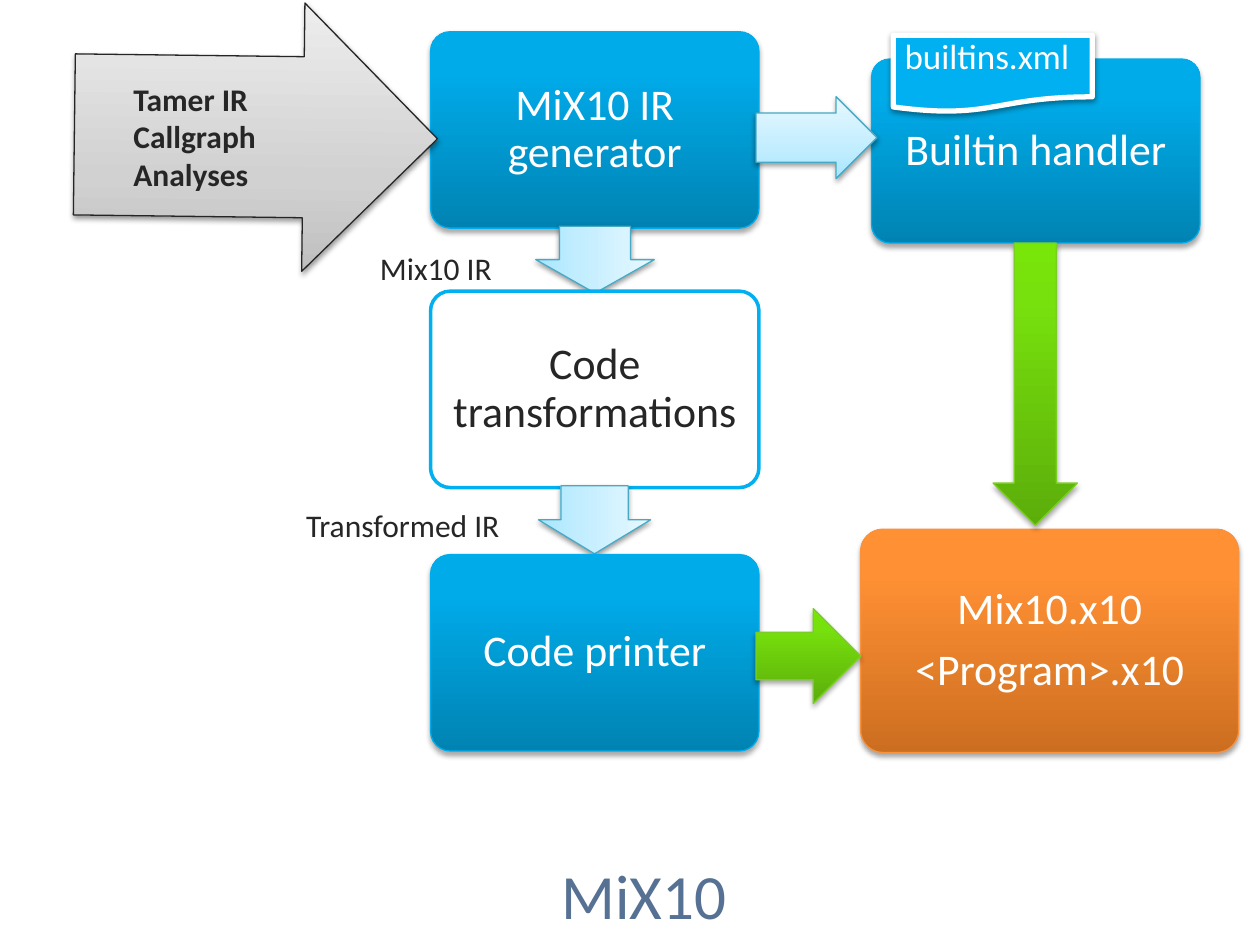
from dataclasses import dataclass
from typing import Optional

from lxml.etree import SubElement
from pptx import Presentation
from pptx.dml.color import RGBColor
from pptx.enum.shapes import MSO_SHAPE as Preset
from pptx.enum.text import MSO_ANCHOR as Anchor, MSO_AUTO_SIZE as AutoSize, PP_ALIGN as Align
from pptx.oxml.ns import qn
from pptx.util import Cm, Pt

FONT = "Calibri"
COLORS = {
    "white": "FFFFFF", "text": "262626", "title": "567193", "cyan": "00B0F0",
    "shadow": "000000", "blue line": "00ACEB", "pale line": "46AAC5",
    "gray line": "252525", "orange line": "F69240", "green line": "78CF22",
}
# Gradient stops in percent, running from bottom to top
GRADIENTS = {
    "blue": {0: "0083B3", 80: "00ABE9", 100: "00ABEA"},
    "orange": {0: "CC6E20", 80: "FF9034", 100: "FF9136"},
    "green": {0: "5CAD0A", 80: "77E10D", 100: "78E609"},
    "pale": {0: "A7E6FF", 35: "C1EDFF", 100: "E7F8FF"},
    "gray": {0: "BEBEBE", 35: "D1D1D1", 100: "EEEEEE"},
}


@dataclass(frozen=True)
class Style:
    fill: str
    line: str
    line_width: float = 0.75
    shadow: Optional[tuple[int, float]] = (35, 1.8)  # opacity in percent, distance in points


STYLES = {
    "blue": Style("blue", "blue line"),
    "orange": Style("orange", "orange line"),
    "green": Style("green", "green line"),
    "pale": Style("pale", "pale line", shadow=(38, 1.6)),
    "gray": Style("gray", "gray line", shadow=(38, 1.6)),
    "outlined": Style("white", "cyan", 2, None),
    "document": Style("cyan", "white", 3, (38, 1.6)),
}


@dataclass(frozen=True)
class Part:
    preset: Preset
    style: str
    at: tuple[float, float, float, float]  # left, top, width, height in cm
    adjustments: tuple[float, ...] = ()
    rotation: float = 0
    lines: tuple[str, ...] = ()
    text_color: str = "white"


@dataclass(frozen=True)
class Label:
    lines: tuple[str, ...]
    at: tuple[float, float, float, float]
    size: int = 18
    color: str = "text"
    bold: bool = False
    align: Align = Align.LEFT


BOX, ARROW = (0.1,), (0.6, 0.5)
STAGE_LEFT, STAGE_WIDTH, STAGE_HEIGHT = 8.68, 6.62, 3.96


def stage(top: float, text: str, style: str = "blue", text_color: str = "white") -> Part:
    return Part(Preset.ROUNDED_RECTANGLE, style, (STAGE_LEFT, top, STAGE_WIDTH, STAGE_HEIGHT),
                BOX, lines=(text,), text_color=text_color)


PARTS = [
    # Main column of stages
    stage(0.64, "MiX10 IR generator"),
    Part(Preset.RIGHT_ARROW, "pale", (11.32, 4.04, 1.35, 2.39), ARROW, 90),
    stage(5.87, "Code transformations", "outlined", "text"),
    Part(Preset.RIGHT_ARROW, "pale", (11.3, 9.35, 1.37, 2.26), ARROW, 90),
    stage(11.18, "Code printer"),
    # Input, builtin handler and output
    Part(Preset.RIGHT_ARROW, "gray", (1.5, 0.05, 7.32, 5.41), ARROW, 0.7),
    Part(Preset.ROUNDED_RECTANGLE, "blue", (17.57, 1.19, STAGE_WIDTH, 3.71), BOX,
         lines=("Builtin handler",)),
    Part(Preset.RIGHT_ARROW, "pale", (15.24, 1.95, 2.44, 1.65), ARROW),
    Part(Preset.ROUNDED_RECTANGLE, "orange", (17.35, 10.67, 7.62, 4.5), BOX,
         lines=("Mix10.x10", "<Program>.x10")),
    Part(Preset.DOWN_ARROW, "green", (20.02, 4.9, 1.7, 5.69)),
    Part(Preset.RIGHT_ARROW, "green", (15.24, 12.27, 2.11, 1.91)),
    Part(Preset.FLOWCHART_DOCUMENT, "document", (18.01, 0.71, 4.01, 1.55)),
]
LABELS = [
    Label(("Tamer IR", "Callgraph", "Analyses"), (2.44, 1.48, 4.24, 2.57), bold=True),
    Label(("Mix10 IR",), (7.41, 4.9, 2.84, 1.04)),
    Label(("Transformed IR",), (5.92, 10.07, 5.03, 1.02)),
    Label(("builtins.xml",), (17.89, 0.58, 4.01, 1.12), 20, "white", align=Align.CENTER),
]
TITLE = Label(("MiX10",), (5.83, 17.14, 14.3, 1.8), 36, "title", align=Align.CENTER)


def rgb(name: str) -> RGBColor:
    return RGBColor.from_string(COLORS[name])


def write_text(frame, lines, size, color, bold=False, frame_format=None, paragraph_format=None) -> None:
    for name, value in {"word_wrap": True, **(frame_format or {})}.items():
        setattr(frame, name, value)
    for index, line in enumerate(lines):
        paragraph = frame.add_paragraph() if index else frame.paragraphs[0]
        for name, value in (paragraph_format or {}).items():
            setattr(paragraph, name, value)
        run = paragraph.add_run()
        run.text = line
        for name, value in {"name": FONT, "size": Pt(size), "bold": bold}.items():
            setattr(run.font, name, value)
        run.font.color.rgb = rgb(color)


def fill_gradient(shape, stops: dict[int, str]) -> None:
    shape.fill.gradient()
    shape.fill.gradient_angle = 90
    stop_list = shape._element.spPr.find(qn("a:gradFill")).find(qn("a:gsLst"))
    for old_stop in list(stop_list):
        stop_list.remove(old_stop)
    for position, color in stops.items():
        stop = SubElement(stop_list, qn("a:gs"), pos=str(position * 1000))
        SubElement(stop, qn("a:srgbClr"), val=color)


def add_shadow(shape, opacity: int, distance: float) -> None:
    effects = shape._element.spPr.find(qn("a:effectLst"))
    shadow = SubElement(effects, qn("a:outerShdw"), blurRad=str(Pt(3.1)), dist=str(Pt(distance)),
                        dir="5400000", rotWithShape="0")
    color = SubElement(shadow, qn("a:srgbClr"), val=COLORS["shadow"])
    SubElement(color, qn("a:alpha"), val=str(opacity * 1000))


def draw_part(slide, part: Part) -> None:
    shape = slide.shapes.add_shape(part.preset, *map(Cm, part.at))
    style = STYLES[part.style]
    shape.rotation = part.rotation
    for index, value in enumerate(part.adjustments):
        shape.adjustments[index] = value
    if style.fill in GRADIENTS:
        fill_gradient(shape, GRADIENTS[style.fill])
    else:
        shape.fill.solid()
        shape.fill.fore_color.rgb = rgb(style.fill)
    shape.line.color.rgb = rgb(style.line)
    shape.line.width = Pt(style.line_width)
    shape.shadow.inherit = False
    if style.shadow:
        add_shadow(shape, *style.shadow)
    if part.lines:
        # The rounded corners already inset the text, so the margins stay small
        margins = {f"margin_{side}": Cm(0.2) for side in ("left", "right", "top", "bottom")}
        write_text(shape.text_frame, part.lines, 25, part.text_color,
                   frame_format={"vertical_anchor": Anchor.MIDDLE, **margins},
                   paragraph_format={"alignment": Align.CENTER, "line_spacing": 0.9,
                                     "space_after": Pt(8)})


def write_label(shape, label: Label) -> None:
    write_text(shape.text_frame, label.lines, label.size, label.color, label.bold,
               {"auto_size": AutoSize.NONE, "vertical_anchor": Anchor.TOP},
               {"alignment": label.align})


def main() -> None:
    presentation = Presentation()
    presentation.slide_width, presentation.slide_height = Cm(25.4), Cm(19.05)
    slide = presentation.slides.add_slide(presentation.slide_layouts[5])

    # Title below the diagram
    title = slide.shapes.title
    for name, value in zip(("left", "top", "width", "height"), TITLE.at):
        setattr(title, name, Cm(value))
    write_label(title, TITLE)

    # Diagram and its labels
    for part in PARTS:
        draw_part(slide, part)
    for label in LABELS:
        write_label(slide.shapes.add_textbox(*map(Cm, label.at)), label)

    presentation.save("out.pptx")


if __name__ == "__main__":
    main()
